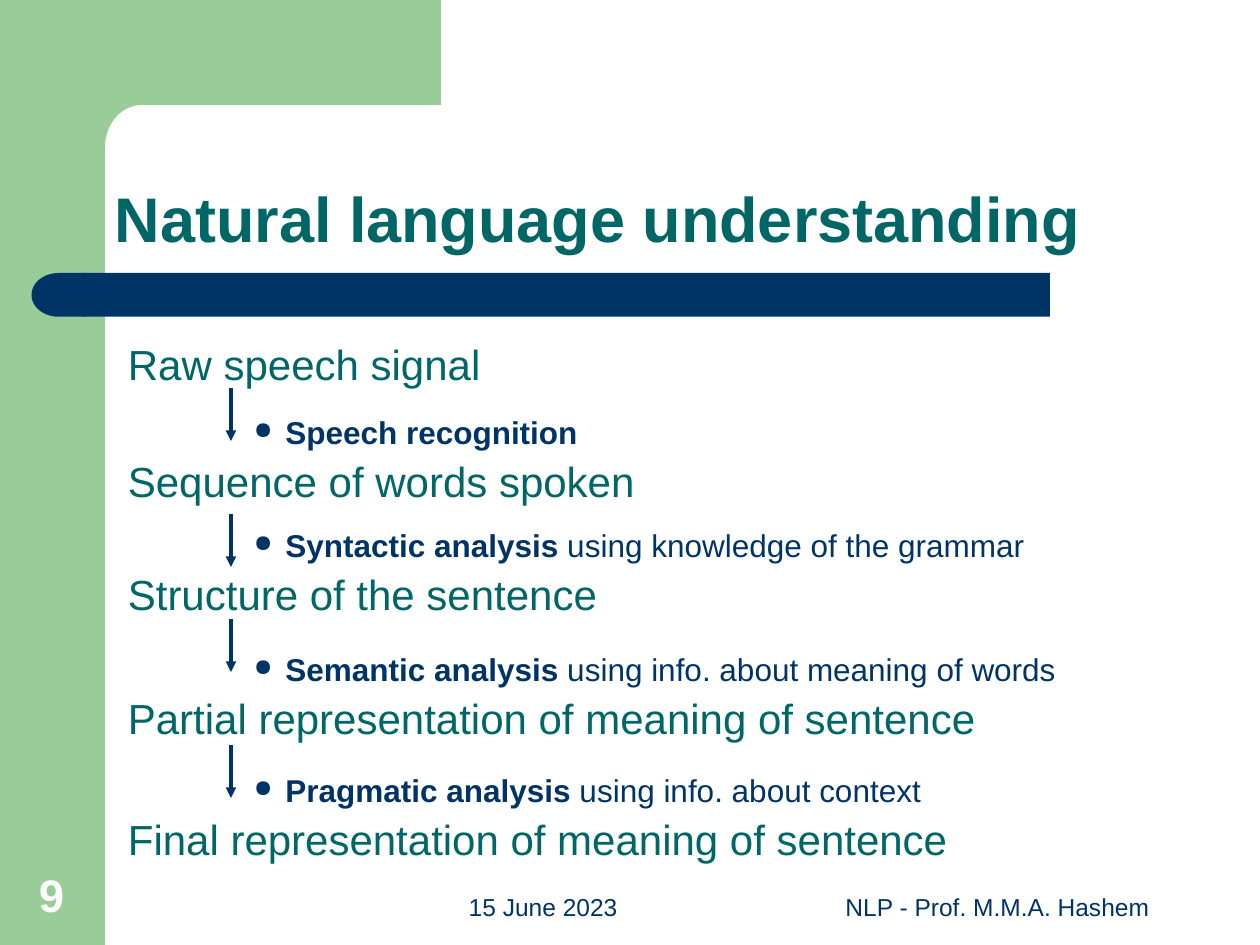
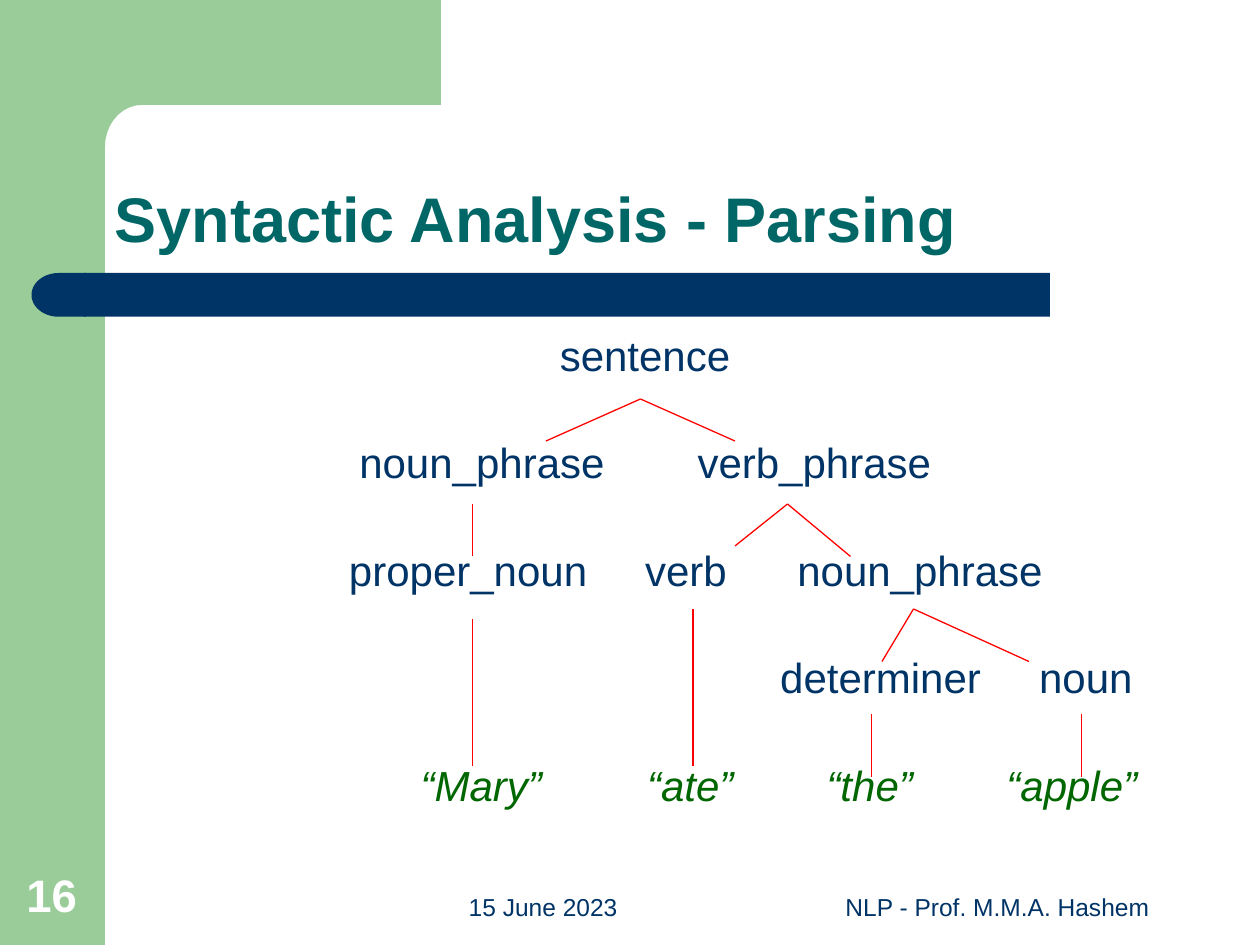
"""Build two lecture slides on natural language understanding and parsing."""
import math

import pptx
import pptx.dml.color
import pptx.enum.shapes
import pptx.enum.text
import pptx.oxml.ns
import pptx.util
from lxml import etree

Pt = pptx.util.Pt
RGBColor = pptx.dml.color.RGBColor
SHAPE = pptx.enum.shapes.MSO_SHAPE
ALIGN = pptx.enum.text.PP_ALIGN
ANCHOR = pptx.enum.text.MSO_ANCHOR

GREEN = RGBColor(0x99, 0xCC, 0x99)
NAVY = RGBColor(0x00, 0x33, 0x66)
TEAL = RGBColor(0x00, 0x66, 0x66)
LEAF = RGBColor(0x00, 0x66, 0x00)
RED = RGBColor(0xFF, 0x00, 0x00)
WHITE = RGBColor(0xFF, 0xFF, 0xFF)
FONT = "Arial"

STAGES = [
    "Raw speech signal",
    "Sequence of words spoken",
    "Structure of the sentence",
    "Partial representation of meaning of sentence",
    "Final representation of meaning of sentence",
]
STEPS = [
    ("Speech recognition", "", 1.4, 222),
    ("Syntactic analysis", " using knowledge of the grammar", 1.3, 294),
    ("Semantic analysis", " using info. about meaning of words", 1.6, 354),
    ("Pragmatic analysis", " using info. about context", 1.5, 426),
]
TREE_ROWS = [
    [("sentence", 368.6)],
    [("noun_phrase", 275.4), ("verb_phrase", 465.3)],
    [("proper_noun", 267.5), ("verb", 392), ("noun_phrase", 525.7)],
    [("determiner", 503.2), ("noun", 620.5)],
    [("“Mary”", 275), ("“ate”", 394.5), ("“the”", 497), ("“apple”", 612.5)],
]
BRANCHES = [
    ((366, 228), [(312, 252), (420, 252)]),
    ((270, 288), [(270, 318)]),
    ((270, 354), [(270, 438)]),
    ((450, 288), [(420, 312), (486, 318)]),
    ((522, 348), [(504, 378), (588, 378)]),
    ((396, 348), [(396, 438)]),
    ((498, 408), [(498, 444)]),
    ((618, 408), [(618, 444)]),
]


def write(p, text, size=24, color=NAVY, bold=False, italic=False):
    """Add one formatted run to a paragraph."""
    r = p.add_run()
    r.text = text
    r.font.name = FONT
    r.font.size = Pt(size)
    r.font.color.rgb = color
    r.font.bold = bold
    r.font.italic = italic


def add_box(s, left, top, width, height, anchor=ANCHOR.TOP, align=ALIGN.LEFT):
    """Add a wrapping text box and return its text frame."""
    tf = s.shapes.add_textbox(Pt(left), Pt(top), Pt(width), Pt(height)).text_frame
    tf.word_wrap = True
    tf.vertical_anchor = anchor
    tf.paragraphs[0].alignment = align
    return tf


def paint(sp, color):
    """Give a shape a flat fill without outline or shadow."""
    sp.shadow.inherit = False
    sp.fill.solid()
    sp.fill.fore_color.rgb = color
    sp.line.fill.background()


def add_block(s, kind, left, top, width, height, color):
    """Add a flat preset shape."""
    sp = s.shapes.add_shape(kind, Pt(left), Pt(top), Pt(width), Pt(height))
    paint(sp, color)
    return sp


def add_corner(s):
    """Add the top band with its rounded inner corner."""
    angles = [math.radians(a) for a in range(0, 91, 10)]
    arc = [(81 - 21 * math.sin(a), 84 - 24 * math.cos(a)) for a in angles]
    points = [(252, 60), *arc, (60, 92), (36, 92), (36, 0)]
    builder = s.shapes.build_freeform(Pt(252), Pt(0), scale=1.0)
    builder.add_line_segments([(Pt(x), Pt(y)) for x, y in points], close=True)
    paint(builder.convert_to_shape(), GREEN)


def add_line(s, start, end, color, width, arrow=False):
    """Add a straight line, with an arrowhead at its end if asked."""
    straight = pptx.enum.shapes.MSO_CONNECTOR.STRAIGHT
    sp = s.shapes.add_connector(straight, *(Pt(v) for v in (*start, *end)))
    sp.line.color.rgb = color
    sp.line.width = Pt(width)
    qn = pptx.oxml.ns.qn
    if arrow:
        etree.SubElement(sp.line._get_or_add_ln(), qn("a:tailEnd"), type="triangle")
    etree.SubElement(sp._element.spPr, qn("a:effectLst"))


def add_bullet(p):
    """Indent a paragraph and give it a small round navy bullet."""
    qn = pptx.oxml.ns.qn
    pPr = p._p.get_or_add_pPr()
    pPr.set("marL", str(Pt(90)))
    pPr.set("indent", str(Pt(-18)))
    color = etree.SubElement(pPr, qn("a:buClr"))
    etree.SubElement(color, qn("a:srgbClr"), val=str(NAVY))
    etree.SubElement(pPr, qn("a:buSzPct"), val="75000")
    etree.SubElement(pPr, qn("a:buChar"), char="●")


def add_slide(prs, title, number):
    """Add a slide with bands, title, date, footer and number."""
    s = prs.slides.add_slide(prs.slide_layouts[5])
    add_block(s, SHAPE.RECTANGLE, 0, 0, 60, 540, GREEN)
    add_corner(s)
    add_block(s, SHAPE.RECTANGLE, 48, 156, 552, 25, NAVY)
    add_block(s, SHAPE.FLOWCHART_DELAY, 18, 156, 31, 25, NAVY).rotation = 180

    sp = s.shapes.title
    sp.left, sp.top, sp.width, sp.height = Pt(60), Pt(60), Pt(624), Pt(90)
    tf = sp.text_frame
    tf.vertical_anchor = ANCHOR.BOTTOM
    tf.margin_left = Pt(5.5)
    p = tf.paragraphs[0]
    p.alignment = ALIGN.LEFT
    p.line_spacing = 0.9
    write(p, title, size=36, color=TEAL, bold=True)

    footers = [
        (6.5, 46, ALIGN.CENTER, number, dict(size=26, color=WHITE, bold=True)),
        (192, 168, ALIGN.RIGHT, "15 June 2023", dict(size=14)),
        (456, 228, ALIGN.CENTER, "NLP - Prof. M.M.A. Hashem", dict(size=14)),
    ]
    for left, width, align, text, style in footers:
        tf = add_box(s, left, 492, width, 38, ANCHOR.BOTTOM, align)
        write(tf.paragraphs[0], text, **style)
    return s


def add_stages(s):
    """List the stages of understanding with the steps between them."""
    tf = add_box(s, 66, 193, 600, 288)
    for i, stage in enumerate(STAGES):
        p = tf.add_paragraph() if i else tf.paragraphs[0]
        p.line_spacing = 0.9
        p.space_before = Pt(6 if i else 0)
        write(p, stage, color=TEAL)
        if i < len(STEPS):
            name, detail, spacing, top = STEPS[i]
            p = tf.add_paragraph()
            add_bullet(p)
            p.line_spacing = spacing
            p.space_before = Pt(4.7)
            write(p, name, size=18, bold=True)
            if detail:
                write(p, detail, size=18)
            add_line(s, (132, top), (132, top + 30), NAVY, 2, arrow=True)


def add_tree(s):
    """Draw the parse tree with its words in the last row."""
    width, height, pitch = 160, 36, 61.4
    for i, row in enumerate(TREE_ROWS):
        is_word = i == len(TREE_ROWS) - 1
        for text, center in row:
            tf = add_box(s, center - width / 2, 184.6 + i * pitch, width, height,
                         ANCHOR.MIDDLE, ALIGN.CENTER)
            write(tf.paragraphs[0], text, color=LEAF if is_word else NAVY,
                  italic=is_word)
    for parent, children in BRANCHES:
        for child in children:
            add_line(s, parent, child, RED, 0.75)


def main():
    """Build and save the presentation."""
    prs = pptx.Presentation()
    prs.slide_width, prs.slide_height = Pt(720), Pt(540)
    add_stages(add_slide(prs, "Natural language understanding", "9"))
    add_tree(add_slide(prs, "Syntactic Analysis - Parsing", "16"))
    prs.save("out.pptx")


if __name__ == "__main__":
    main()
